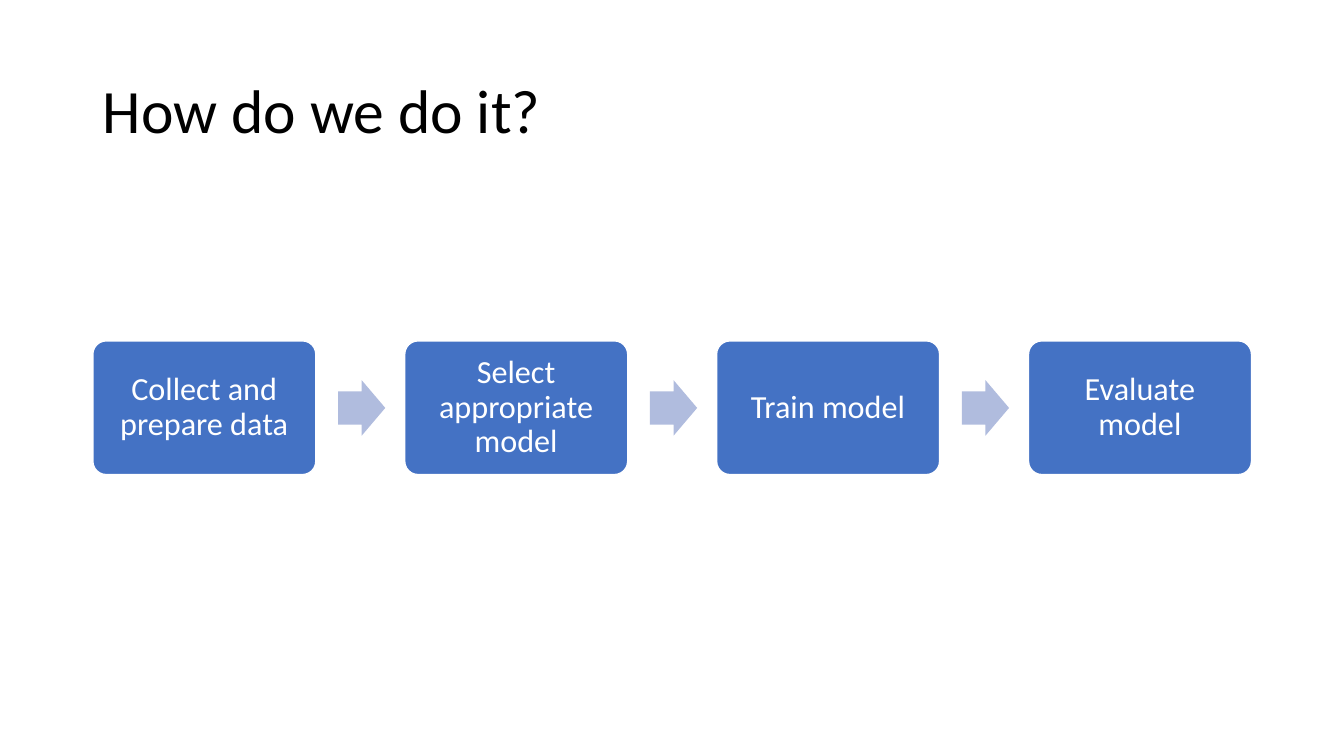
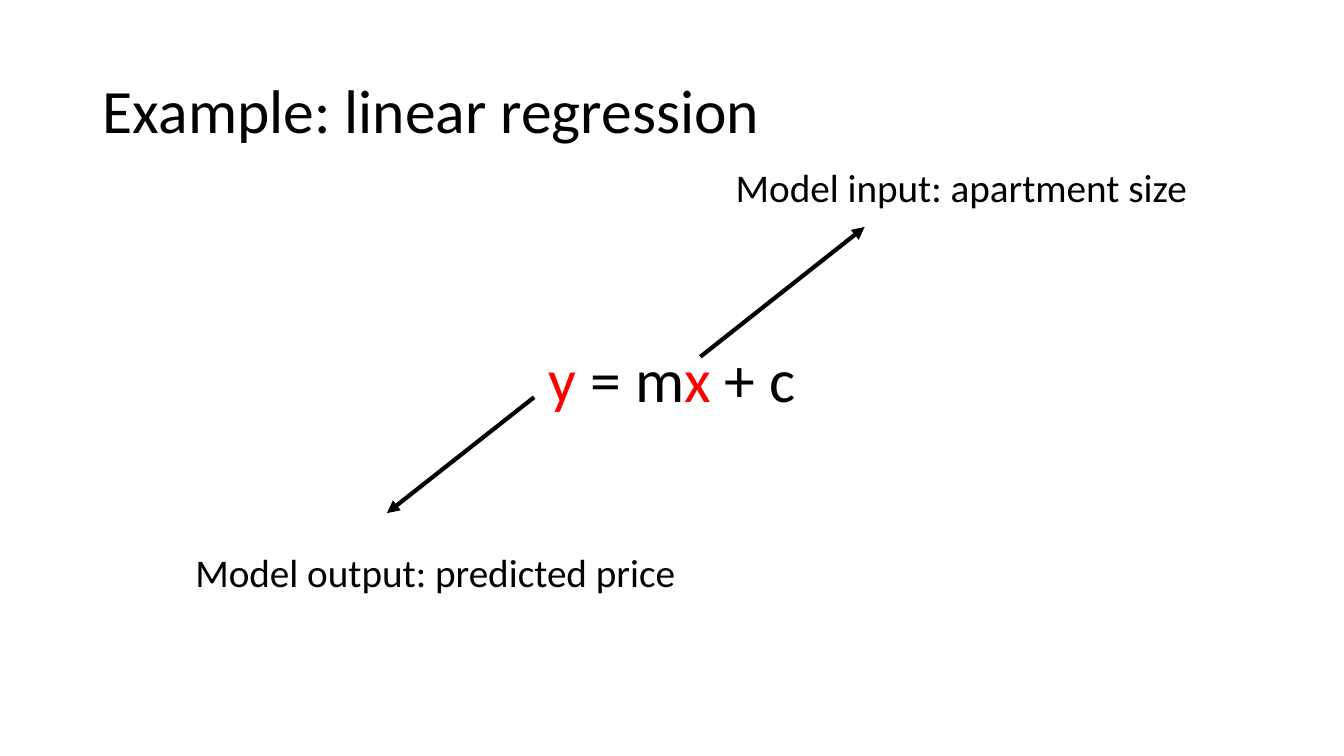
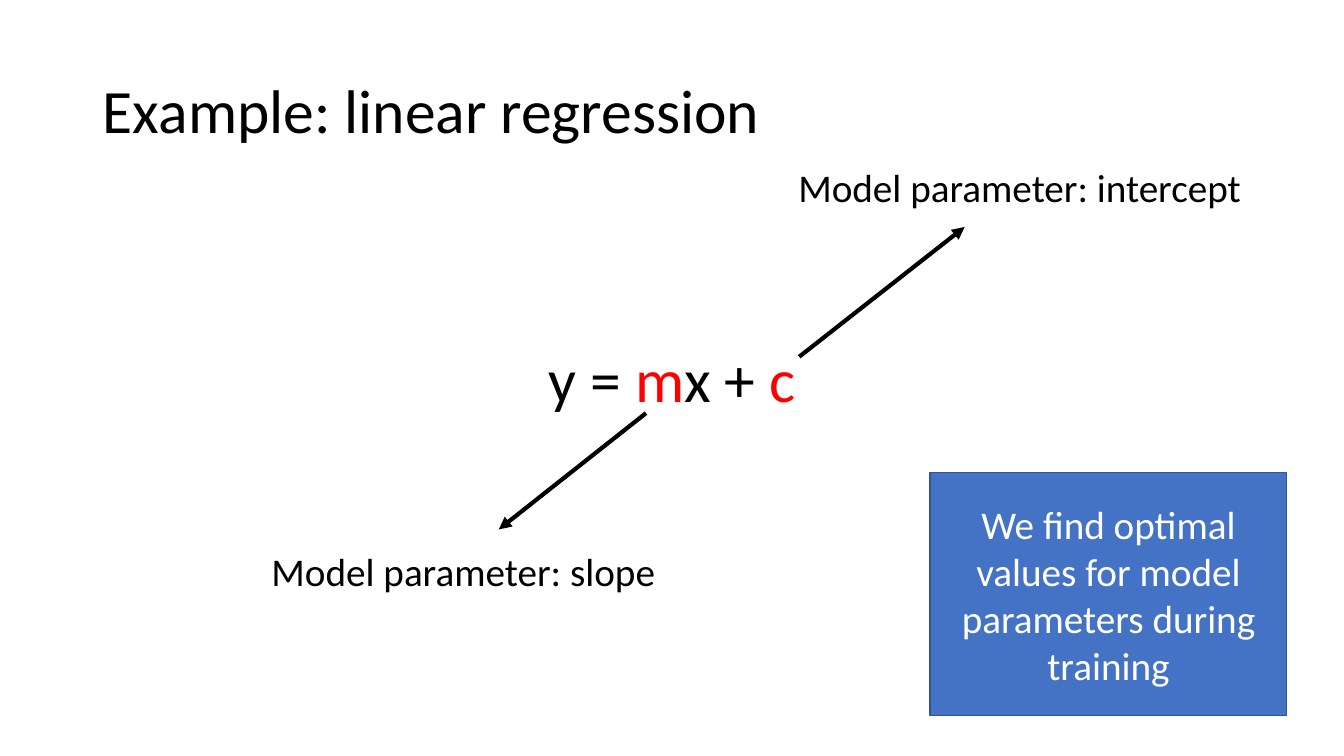
"""Build three slides on how a model is trained, with linear regression as the example."""
from lxml.etree import SubElement
from pptx import Presentation
from pptx.dml.color import RGBColor
from pptx.enum.shapes import MSO_CONNECTOR, MSO_SHAPE
from pptx.enum.text import MSO_ANCHOR, PP_ALIGN
from pptx.oxml.ns import qn
from pptx.util import Cm, Pt

FONT = "Calibri"
BLACK, WHITE, RED = "000000", "FFFFFF", "FF0000"
BLUE, DARK_BLUE, PALE_BLUE = "4472C4", "325491", "B0BCDE"


def color(code):
    return RGBColor.from_string(code)


def write(shape, runs, size, align=PP_ALIGN.CENTER, spacing=1.0):
    frame = shape.text_frame
    frame.word_wrap = True
    frame.vertical_anchor = MSO_ANCHOR.MIDDLE
    para = frame.paragraphs[0]
    para.alignment = align
    para.line_spacing = spacing
    for text, code in runs:
        span = para.add_run()
        span.text = text
        span.font.name = FONT
        span.font.size = Pt(size)
        span.font.color.rgb = color(code)


deck = Presentation()
deck.slide_width, deck.slide_height = Cm(33.87), Cm(19.05)
title_only = deck.slide_layouts[5]

slides = []
for heading in ("How do we do it?", "Example: linear regression", "Example: linear regression"):
    slide = deck.slides.add_slide(title_only)
    title = slide.shapes.title
    title.left, title.top, title.width, title.height = Cm(2.34), Cm(1.02), Cm(29.21), Cm(3.68)
    write(title, [(heading, BLACK)], 44, PP_ALIGN.LEFT, 0.9)
    slides.append(slide)
process_slide, variables_slide, parameters_slide = slides

steps = ["Collect and prepare data", "Select appropriate model", "Train model", "Evaluate model"]
step_left, step_pitch = 2.34, 7.86
for index, step in enumerate(steps):
    left = step_left + index * step_pitch
    box = process_slide.shapes.add_shape(
        MSO_SHAPE.ROUNDED_RECTANGLE, Cm(left), Cm(8.59), Cm(5.62), Cm(3.37))
    box.adjustments[0] = 0.1
    box.shadow.inherit = False
    box.fill.solid()
    box.fill.fore_color.rgb = color(BLUE)
    box.line.color.rgb = color(WHITE)
    box.line.width = Pt(1)
    write(box, [(step, WHITE)], 23, spacing=0.9)
    if index < len(steps) - 1:
        arrow = process_slide.shapes.add_shape(
            MSO_SHAPE.RIGHT_ARROW, Cm(left + 6.18), Cm(9.58), Cm(1.19), Cm(1.4))
        arrow.adjustments[0] = 0.6
        arrow.adjustments[1] = 0.5
        arrow.shadow.inherit = False
        arrow.fill.solid()
        arrow.fill.fore_color.rgb = color(PALE_BLUE)
        arrow.line.fill.background()

examples = [
    (variables_slide,
     [("y", RED), (" = m", BLACK), ("x", RED), (" + c", BLACK)],
     [("Model output: predicted price", 4.29, 13.08, 13.36),
      ("Model input: apartment size", 18.14, 3.38, 12.17)],
     [(13.46, 10.01, 9.75, 12.93), (17.65, 8.99, 21.79, 5.72)]),
    (parameters_slide,
     [("y = ", BLACK), ("m", RED), ("x + ", BLACK), ("c", RED)],
     [("Model parameter: slope", 6.25, 13.06, 10.85),
      ("Model parameter: intercept", 19.61, 3.38, 12.17)],
     [(16.28, 10.41, 12.57, 13.34), (20.14, 8.99, 24.31, 5.72)]),
]
for slide, equation, labels, pointers in examples:
    equation_box = slide.shapes.add_textbox(Cm(12.57), Cm(8.2), Cm(8.74), Cm(2.64))
    write(equation_box, equation, 44)
    for label, left, top, width in labels:
        label_box = slide.shapes.add_textbox(Cm(left), Cm(top), Cm(width), Cm(2.64))
        write(label_box, [(label, BLACK)], 28)
    for ends in pointers:
        pointer = slide.shapes.add_connector(
            MSO_CONNECTOR.STRAIGHT, *[Cm(value) for value in ends])
        pointer.line.color.rgb = color(BLACK)
        pointer.line.width = Pt(3)
        SubElement(pointer.line._get_or_add_ln(), qn("a:tailEnd"), type="triangle")
        SubElement(pointer._element.spPr, qn("a:effectLst"))

training_note = parameters_slide.shapes.add_shape(
    MSO_SHAPE.RECTANGLE, Cm(23.44), Cm(11.91), Cm(8.99), Cm(6.12))
training_note.shadow.inherit = False
training_note.fill.solid()
training_note.fill.fore_color.rgb = color(BLUE)
training_note.line.color.rgb = color(DARK_BLUE)
training_note.line.width = Pt(1)
write(training_note, [("We find optimal values for model parameters during training", WHITE)], 28)

deck.save("out.pptx")
